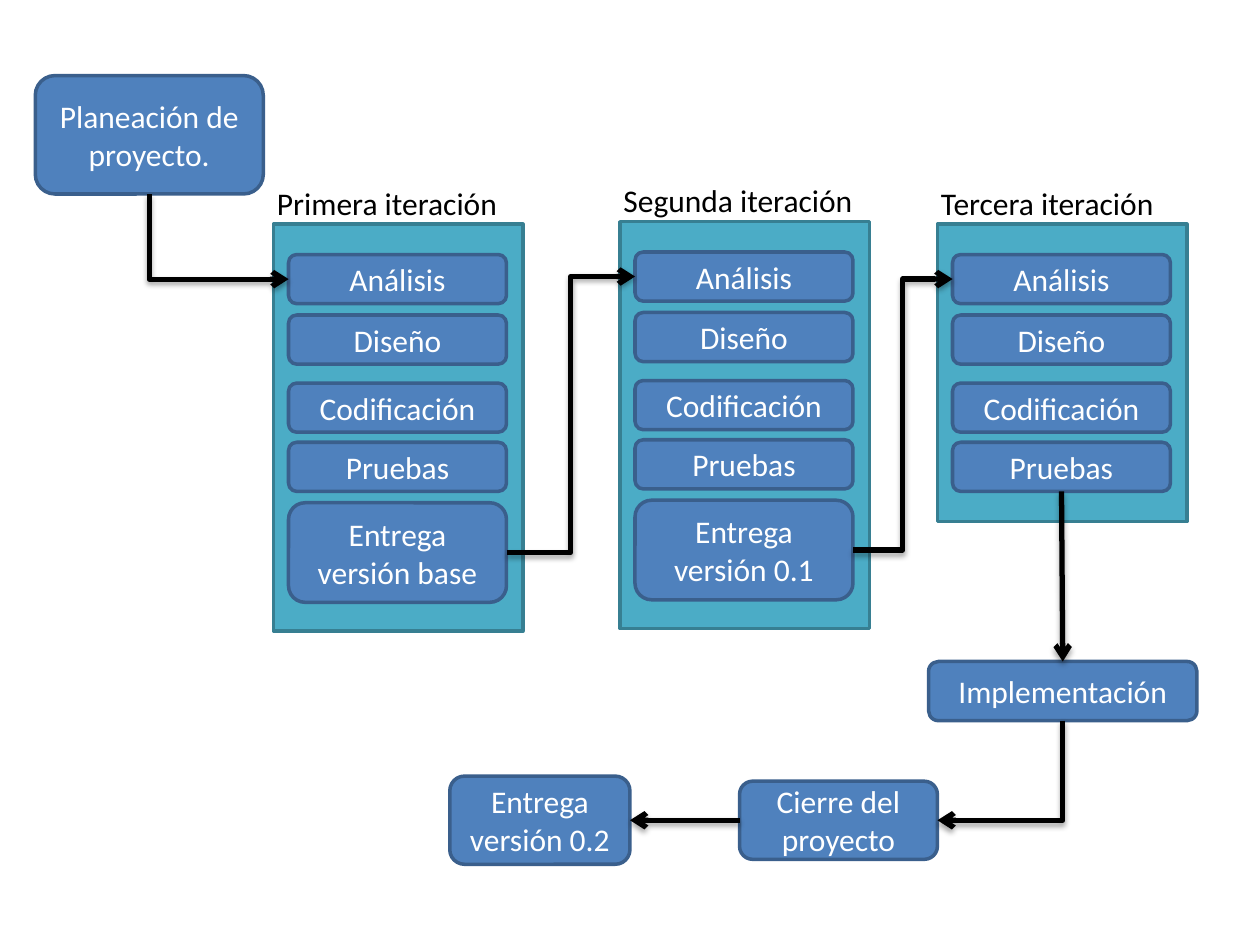
import pptx
import pptx.util
import pptx.dml.color
import pptx.enum.shapes
import pptx.enum.text
import pptx.oxml
from dataclasses import dataclass
from pptx.oxml.ns import nsdecls, qn

Inches = pptx.util.Inches
SHAPE = pptx.enum.shapes.MSO_SHAPE
CONNECTOR = pptx.enum.shapes.MSO_CONNECTOR
TOP, LEFT, BOTTOM, RIGHT = range(4)


@dataclass(frozen=True)
class Theme:
    font: str = "Calibri"
    size: int = 18
    step_fill: str = "4F81BD"
    step_border: str = "3A5F8C"
    panel_fill: str = "4BACC6"
    panel_border: str = "377F92"
    light: str = "FFFFFF"
    dark: str = "000000"
    border_width: int = 2
    arrow_width: int = 3


class Diagram:
    def __init__(self, slide, theme):
        self.slide = slide
        self.theme = theme

    def color(self, value):
        return pptx.dml.color.RGBColor.from_string(value)

    def add_text(self, frame, text, color, align):
        frame.word_wrap = True
        paragraph = frame.paragraphs[0]
        paragraph.alignment = align
        run = paragraph.add_run()
        run.text = text
        run.font.name = self.theme.font
        run.font.size = pptx.util.Pt(self.theme.size)
        run.font.color.rgb = self.color(color)

    def block(self, preset, bounds, fill, border):
        block = self.slide.shapes.add_shape(preset, *map(Inches, bounds))
        block.shadow.inherit = False
        block.fill.solid()
        block.fill.fore_color.rgb = self.color(fill)
        block.line.color.rgb = self.color(border)
        block.line.width = pptx.util.Pt(self.theme.border_width)
        return block

    def panel(self, *bounds):
        return self.block(SHAPE.RECTANGLE, bounds, self.theme.panel_fill, self.theme.panel_border)

    def step(self, text, *bounds):
        step = self.block(SHAPE.ROUNDED_RECTANGLE, bounds, self.theme.step_fill, self.theme.step_border)
        step.text_frame.vertical_anchor = pptx.enum.text.MSO_ANCHOR.MIDDLE
        self.add_text(step.text_frame, text, self.theme.light, pptx.enum.text.PP_ALIGN.CENTER)
        return step

    def heading(self, text, *bounds):
        heading = self.slide.shapes.add_textbox(*map(Inches, bounds))
        self.add_text(heading.text_frame, text, self.theme.dark, pptx.enum.text.PP_ALIGN.LEFT)

    def arrow(self, source, source_side, target, target_side, kind=CONNECTOR.STRAIGHT):
        arrow = self.slide.shapes.add_connector(kind, 0, 0, 0, 0)
        arrow.begin_connect(source, source_side)
        arrow.end_connect(target, target_side)
        arrow.line.color.rgb = self.color(self.theme.dark)
        arrow.line.width = pptx.util.Pt(self.theme.arrow_width)
        properties = arrow._element.spPr
        properties.find(qn("a:ln")).append(
            pptx.oxml.parse_xml(f'<a:tailEnd {nsdecls("a")} type="arrow"/>'))
        properties.append(pptx.oxml.parse_xml(
            f'<a:effectLst {nsdecls("a")}>'
            '<a:outerShdw blurRad="40000" dist="23000" dir="5400000" rotWithShape="0">'
            f'<a:srgbClr val="{self.theme.dark}"><a:alpha val="35000"/></a:srgbClr>'
            '</a:outerShdw></a:effectLst>'))
        return arrow

    def corner_arrow(self, source, target, target_side):
        arrow = self.arrow(source, BOTTOM, target, target_side, CONNECTOR.ELBOW)
        center_x = (arrow.begin_x + arrow.end_x) // 2
        center_y = (arrow.begin_y + arrow.end_y) // 2
        rightward = arrow.end_x > arrow.begin_x
        width, height = arrow.height, arrow.width
        arrow.left, arrow.top = center_x - width // 2, center_y - height // 2
        arrow.width, arrow.height = width, height
        properties = arrow._element.spPr
        properties.find(qn("a:prstGeom")).set("prst", "bentConnector2")
        transform = properties.find(qn("a:xfrm"))
        transform.set("rot", "16200000" if rightward else "5400000")
        transform.set("flipH", "1" if rightward else "0")
        transform.set("flipV", "0")

    def iteration(self, title, left, top, height, delivery=None):
        self.panel(left, top, 1.98, height)
        self.heading(title, left - 0.07, top - 0.37, 2.13, 0.4)
        phases = {"Análisis": 0.24, "Diseño": 0.72, "Codificación": 1.26, "Pruebas": 1.73}
        steps = [self.step(phase, left + 0.12, top + offset, 1.73, 0.39)
                 for phase, offset in phases.items()]
        if delivery:
            steps.append(self.step(delivery, left + 0.12, top + 2.21, 1.73, 0.79))
        return steps[0], steps[-1]


def main():
    deck = pptx.Presentation()
    deck.slide_width, deck.slide_height = Inches(10), Inches(7.5)
    diagram = Diagram(deck.slides.add_slide(deck.slide_layouts[6]), Theme())

    planning = diagram.step("Planeación de proyecto.", 0.28, 0.6, 1.81, 0.94)
    first_start, first_end = diagram.iteration("Primera iteración", 2.17, 1.78, 3.23, "Entrega versión base")
    second_start, second_end = diagram.iteration("Segunda iteración", 4.92, 1.76, 3.23, "Entrega versión 0.1")
    third_start, third_end = diagram.iteration("Tercera iteración", 7.44, 1.78, 2.36)
    delivery = diagram.step("Entrega versión 0.2", 3.57, 6.16, 1.43, 0.7)
    closing = diagram.step("Cierre del proyecto", 5.87, 6.2, 1.57, 0.62)
    rollout = diagram.step("Implementación", 7.37, 5.25, 2.13, 0.47)

    diagram.corner_arrow(planning, first_start, LEFT)
    diagram.arrow(first_end, RIGHT, second_start, LEFT, CONNECTOR.ELBOW)
    diagram.arrow(second_end, RIGHT, third_start, LEFT, CONNECTOR.ELBOW)
    diagram.arrow(third_end, BOTTOM, rollout, TOP)
    diagram.corner_arrow(rollout, closing, RIGHT)
    diagram.arrow(closing, LEFT, delivery, RIGHT)

    deck.save("out.pptx")


if __name__ == "__main__":
    main()
